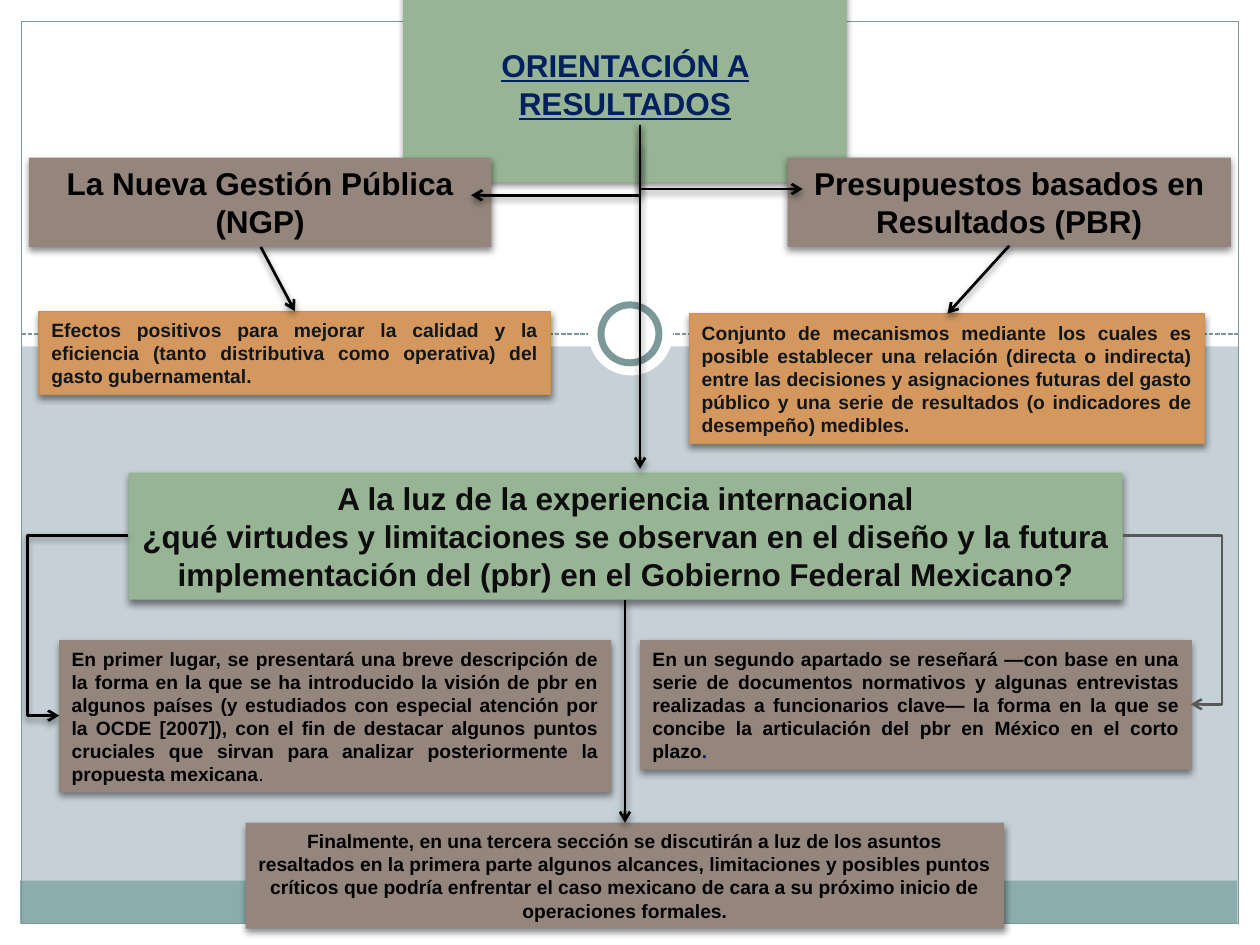
from dataclasses import dataclass

from lxml import etree
from pptx import Presentation
from pptx.dml.color import RGBColor
from pptx.enum.dml import MSO_LINE
from pptx.enum.shapes import MSO_CONNECTOR, MSO_SHAPE
from pptx.enum.text import MSO_ANCHOR, MSO_AUTO_SIZE, PP_ALIGN
from pptx.oxml.ns import qn
from pptx.util import Inches, Pt

RECT, OVAL = MSO_SHAPE.RECTANGLE, MSO_SHAPE.OVAL
STRAIGHT, ELBOW = MSO_CONNECTOR.STRAIGHT, MSO_CONNECTOR.ELBOW
DASH = MSO_LINE.SQUARE_DOT
CENTER, JUSTIFY = PP_ALIGN.CENTER, PP_ALIGN.JUSTIFY
MIDDLE, GROW = MSO_ANCHOR.MIDDLE, MSO_AUTO_SIZE.SHAPE_TO_FIT_TEXT


@dataclass(frozen=True)
class Theme:
    font: str = "Arial"
    heading: int = 18
    body: int = 11
    arrow: float = 1.57
    background: str = "C5D1D7"
    white: str = "FFFFFF"
    black: str = "000000"
    frame: str = "7C999A"
    band: str = "8CADAE"
    green: str = "97B595"
    brown: str = "95867D"
    orange: str = "D4985F"
    orange_edge: str = "D19049"
    navy: str = "002060"
    ink: str = "111618"
    soft_black: str = "0D0D0D"
    gray: str = "595959"


def rgb(color):
    return RGBColor.from_string(color)


def add_shadow(shape):
    """Put a soft shadow below a shape whose fill and line are already set."""
    sp_pr = shape.element.spPr
    effects = sp_pr.find(qn("a:effectLst"))
    if effects is None:
        effects = etree.SubElement(sp_pr, qn("a:effectLst"))
    shadow = etree.SubElement(effects, qn("a:outerShdw"), blurRad=str(Pt(4)),
                              dist=str(Pt(2)), dir="5400000", rotWithShape="0")
    color = etree.SubElement(shadow, qn("a:srgbClr"), val=Theme.black)
    etree.SubElement(color, qn("a:alpha"), val="45000")


class SlideBuilder:
    def __init__(self, slide, theme):
        self.s, self.t = slide, theme
        fill = slide.background.fill
        fill.solid()
        fill.fore_color.rgb = rgb(theme.background)

    def paint(self, shape, fill=None, line=None, width=0.75):
        shape.shadow.inherit = False
        if fill:
            shape.fill.solid()
            shape.fill.fore_color.rgb = rgb(fill)
        else:
            shape.fill.background()
        if line:
            shape.line.color.rgb = rgb(line)
            shape.line.width = Pt(width)
        else:
            shape.line.fill.background()

    def shape(self, kind, at, **style):
        sp = self.s.shapes.add_shape(kind, *map(Inches, at))
        self.paint(sp, **style)
        return sp

    def set_text(self, sp, paragraphs, align, **font):
        """Fill a box; each paragraph is a list of (text, font changes)."""
        tf = sp.text_frame
        frame = {"word_wrap": True, "auto_size": GROW, "vertical_anchor": MIDDLE}
        for name, value in frame.items():
            setattr(tf, name, value)
        for i, runs in enumerate(paragraphs):
            p = tf.add_paragraph() if i else tf.paragraphs[0]
            p.alignment = align
            for text, changes in runs:
                r = p.add_run()
                r.text = text
                style = {"name": self.t.font, "bold": True, **font, **changes}
                r.font.color.rgb = rgb(style.pop("color"))
                for name, value in style.items():
                    setattr(r.font, name, value)

    def title(self, at, text):
        sp = self.s.shapes.title
        sp.element.getparent().append(sp.element)  # in front of the backdrop
        for name, value in zip(("left", "top", "width", "height"), at):
            setattr(sp, name, Inches(value))
        self.paint(sp, self.t.green)
        add_shadow(sp)
        self.set_text(sp, [[(text, {})]], CENTER, size=Pt(self.t.heading),
                      color=self.t.navy, underline=True)

    def box(self, at, fill, paragraphs, align=CENTER, size=Theme.body,
            color=Theme.black, line=None):
        sp = self.shape(RECT, at, fill=fill, line=line)
        add_shadow(sp)
        self.set_text(sp, paragraphs, align, size=Pt(size), color=color)

    def line(self, start, end, kind=STRAIGHT, color=Theme.black, width=Theme.arrow):
        c = self.s.shapes.add_connector(kind, *map(Inches, start + end))
        c.line.color.rgb = rgb(color)
        c.line.width = Pt(width)
        etree.SubElement(c.element.spPr, qn("a:effectLst"))
        return c

    def arrow(self, start, end, bend=None, shadow=True, **style):
        """Draw an arrow; bend places the elbow as a share of its width."""
        c = self.line(start, end, STRAIGHT if bend is None else ELBOW, **style)
        sp_pr = c.element.spPr
        etree.SubElement(sp_pr.find(qn("a:ln")), qn("a:tailEnd"), type="arrow")
        if bend is not None:
            guides = sp_pr.find(qn("a:prstGeom")).find(qn("a:avLst"))
            etree.SubElement(guides, qn("a:gd"), name="adj1",
                             fmla=f"val {round(bend * 100000)}")
        if shadow:
            add_shadow(c)

    def backdrop(self):
        t = self.t
        for at in ((0, 7.33, 10, 0.17), (9.83, 0, 0.17, 7.5),
                   (0, 0, 0.17, 7.5), (0, 0, 10, 2.75)):
            self.shape(RECT, at, fill=t.white)
        self.shape(RECT, (0.16, 6.99, 9.66, 0.34), fill=t.band)
        divider = self.line((0.17, 2.65), (9.83, 2.65), color=t.frame, width=0.9)
        divider.line.dash_style = DASH
        self.shape(RECT, (0.17, 0.17, 9.66, 7.16), line=t.frame)
        self.shape(OVAL, (4.67, 2.31, 0.67, 0.67), fill=t.white)
        self.shape(OVAL, (4.77, 2.42, 0.46, 0.46), fill=t.white,
                   line=t.frame, width=4)


def main():
    prs = Presentation()
    prs.slide_width, prs.slide_height = Inches(10), Inches(7.5)
    t = Theme()
    b = SlideBuilder(prs.slides.add_slide(prs.slide_layouts[5]), t)
    heading = {"size": t.heading}
    detail = {"align": JUSTIFY, "color": t.ink, "line": t.orange_edge}

    b.backdrop()
    b.title((3.2, 0.31, 3.52, 0.71), "ORIENTACIÓN A RESULTADOS")

    b.box((5.47, 2.49, 4.09, 1.03), t.orange, [[(
        "Conjunto de mecanismos mediante los cuales es posible establecer una "
        "relación (directa o indirecta) entre las decisiones y asignaciones "
        "futuras del gasto público y una serie de resultados (o indicadores de "
        "desempeño) medibles.", {})]], **detail)
    b.box((6.25, 1.25, 3.52, 0.71), t.brown,
          [[("Presupuestos basados en Resultados (PBR)", {})]], **heading)
    b.arrow((8.01, 1.95), (7.52, 2.49))
    b.arrow((5.08, 0.99), (6.37, 1.5), bend=0)

    b.box((0.23, 1.25, 3.67, 0.71), t.brown,
          [[("La Nueva Gestión Pública", {})], [("(NGP)", {})]], **heading)
    b.box((0.31, 2.47, 4.06, 0.66), t.orange, [[(
        "Efectos positivos para mejorar la calidad y la eficiencia (tanto "
        "distributiva como operativa) del gasto gubernamental.", {})]], **detail)
    b.arrow((5.08, 1.15), (3.74, 1.55), bend=0)
    b.arrow((2.07, 1.96), (2.34, 2.47))

    b.box((1.02, 3.75, 7.89, 1.01), t.green, [
        [("A la luz de la experiencia internacional", {})],
        [("¿qué virtudes y limitaciones se observan en el diseño y la futura "
          "implementación del (pbr) en el Gobierno Federal Mexicano?", {})],
    ], color=t.soft_black, **heading)
    b.arrow((5.08, 0.99), (5.08, 3.72))

    b.box((0.47, 5.08, 4.38, 1.21), t.brown, [[(
        "En primer lugar, se presentará una breve descripción de la forma en la "
        "que se ha introducido la visión de pbr en algunos países (y estudiados "
        "con especial atención por la OCDE [2007]), con el fin de destacar "
        "algunos puntos cruciales que sirvan para analizar posteriormente la "
        "propuesta mexicana", {}), (".", {"bold": False})]], JUSTIFY)
    b.box((5.08, 5.08, 4.38, 1.03), t.brown, [[(
        "En un segundo apartado se reseñará —con base en una serie de documentos "
        "normativos y algunas entrevistas realizadas a funcionarios clave— la "
        "forma en la que se concibe la articulación del pbr en México en el "
        "corto plazo", {}), (".", {"color": t.navy})]], JUSTIFY)
    b.arrow((8.91, 4.25), (9.45, 5.59), bend=1.46, shadow=False,
            color=t.gray, width=1.5)
    b.arrow((1.02, 4.25), (0.47, 5.68), bend=1.46)

    b.box((1.95, 6.53, 6.02, 0.84), t.brown, [[(
        "Finalmente, en una tercera sección se discutirán a luz de los asuntos "
        "resaltados en la primera parte algunos alcances, limitaciones y posibles "
        "puntos críticos que podría enfrentar el caso mexicano de cara a su "
        "próximo inicio de operaciones formales.", {})]])
    b.arrow((4.96, 4.76), (4.96, 6.53))

    prs.save("out.pptx")


if __name__ == "__main__":
    main()
